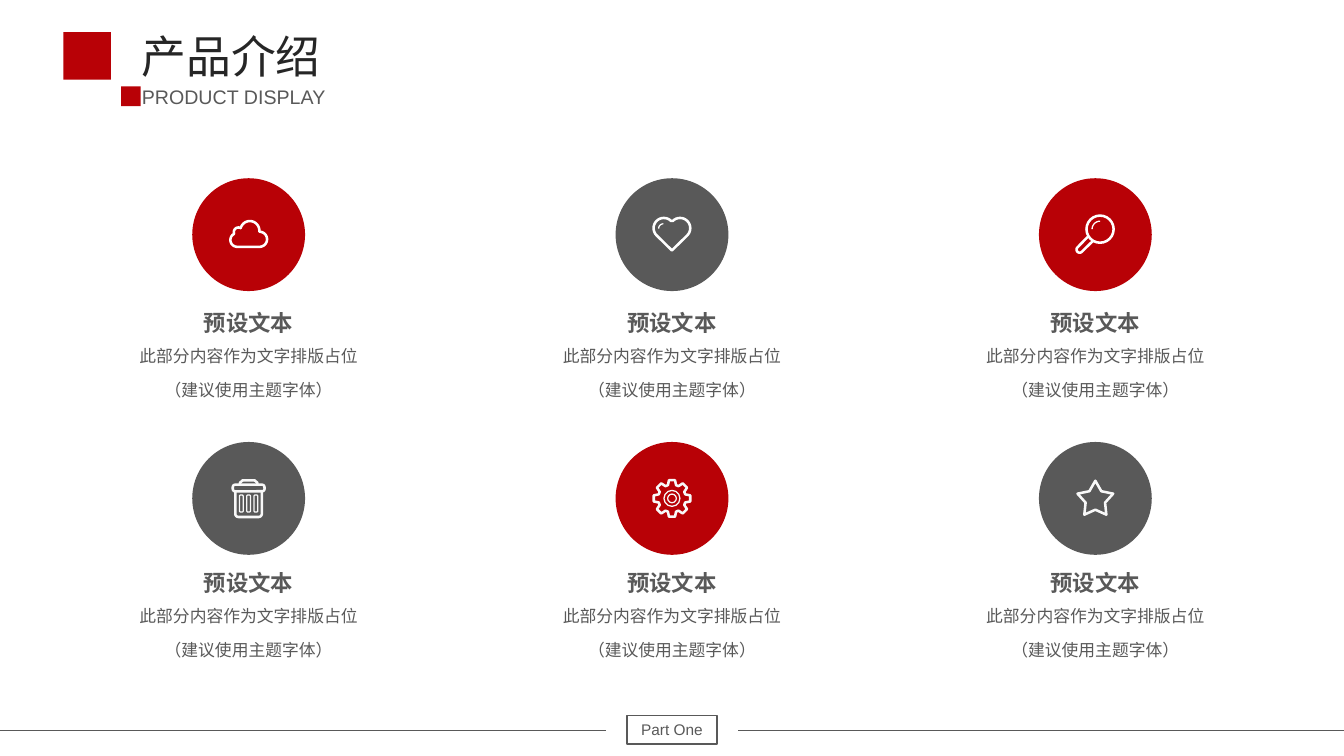
import math
from dataclasses import dataclass

import pptx
import pptx.dml.color
import pptx.enum.shapes
import pptx.enum.text
import pptx.oxml
import pptx.oxml.ns
import pptx.util

Pt = pptx.util.Pt
RGBColor = pptx.dml.color.RGBColor
PRESET = pptx.enum.shapes.MSO_SHAPE
ALIGN = pptx.enum.text.PP_ALIGN
ANCHOR = pptx.enum.text.MSO_ANCHOR

RED = RGBColor(0xB8, 0x01, 0x06)
GRAY = RGBColor(0x59, 0x59, 0x59)
INK = RGBColor(0x26, 0x26, 0x26)
WHITE = RGBColor(0xFF, 0xFF, 0xFF)
PALE = RGBColor(0xF8, 0xF8, 0xF8)
CJK_FONT = "Noto Sans CJK SC"
THICK, THIN = 1.8, 0.9
DISC = 80.6

Point = tuple[float, float]


@dataclass
class Outline:
    points: list[Point]
    closed: bool = True
    weight: float = THICK


@dataclass
class Preset:
    kind: int
    center: Point
    size: Point
    weight: float = THICK


@dataclass
class Card:
    icon: list
    heading: str = "预设文本"
    detail: str = "此部分内容作为文字排版占位\n（建议使用主题字体）"


def arc(x: float, y: float, radius: float, start: float, end: float) -> list[Point]:
    steps = 16
    angles = [math.radians(start + (end - start) * i / steps) for i in range(steps + 1)]
    return [(x + radius * math.cos(a), y + radius * math.sin(a)) for a in angles]


def polar(radius: float, degrees: float, y: float = 0) -> Point:
    angle = math.radians(degrees)
    return radius * math.cos(angle), y + radius * math.sin(angle)


def ring(x: float, y: float, radius: float, weight: float) -> Preset:
    return Preset(PRESET.OVAL, (x, y), (2 * radius, 2 * radius), weight)


CLOUD = [Outline(arc(-8.1, 3.8, 4.9, 90, 240) + arc(-7.3, -1.9, 3.2, 165, 300)
                 + arc(0.9, -2.9, 6.8, 195, 360) + arc(7.8, 3.3, 5.4, 270, 450))]
HEART = [Outline(arc(-5.8, -4.6, 7.3, 135, 315) + arc(5.8, -4.6, 7.3, 225, 405) + [(0, 11.3)]),
         Outline(arc(-6.1, -4.3, 3.4, 180, 270), False, THIN)]
MAGNIFIER = [ring(3.4, -3.9, 9.7, THICK),
             Outline(arc(3.4, -3.9, 5.7, 180, 270), False, THIN),
             Outline([(-5.2, 1.4)] + arc(-11.2, 10.7, 2.2, 225, 45) + [(-1.9, 4.7)], False)]
TRASH = [Preset(PRESET.ROUNDED_RECTANGLE, (0, -7.4), (22.7, 4.7)),
         Outline([(-6.2, -9.9), (-6.2, -11.2), (-4.2, -12.9),
                  (4.2, -12.9), (6.2, -11.2), (6.2, -9.9)], False),
         Outline([(-9.5, -4.7)] + arc(-7.1, 10.9, 2.4, 180, 90)
                 + arc(7.1, 10.9, 2.4, 90, 0) + [(9.5, -4.7)], False)]
TRASH += [Preset(PRESET.ROUNDED_RECTANGLE, (x, 3.7), (2.7, 12.2), THIN) for x in (-5.2, 0, 5.2)]
GEAR = [Outline([polar(radius, 45 * tooth + turn) for tooth in range(8)
                 for radius, turn in ((9.9, -17), (13.2, -9.5), (13.2, 9.5), (9.9, 17))]),
        ring(0, 0, 5.7, THIN), ring(0, 0, 3.1, THIN)]
STAR = [Outline([polar(7.3 if i % 2 else 13.4, 36 * i - 90, 0.8) for i in range(10)])]

CARDS = [[Card(CLOUD), Card(HEART), Card(MAGNIFIER)],
         [Card(TRASH), Card(GEAR), Card(STAR)]]


def add_preset(slide, kind, left: float, top: float, width: float, height: float, fill=None):
    shape = slide.shapes.add_shape(kind, Pt(left), Pt(top), Pt(width), Pt(height))
    shape.shadow.inherit = False
    if fill is None:
        shape.fill.background()
    else:
        shape.fill.solid()
        shape.fill.fore_color.rgb = fill
        shape.line.fill.background()
    return shape


def draw_icon(slide, parts: list, x: float, y: float, color: RGBColor) -> None:
    for part in parts:
        if isinstance(part, Preset):
            width, height = part.size
            shape = add_preset(slide, part.kind, x + part.center[0] - width / 2,
                               y + part.center[1] - height / 2, width, height)
            if part.kind == PRESET.ROUNDED_RECTANGLE:
                shape.adjustments[0] = 0.35
        else:
            path_points = [(Pt(x + px), Pt(y + py)) for px, py in part.points]
            builder = slide.shapes.build_freeform(*path_points[0])
            builder.add_line_segments(path_points[1:], close=part.closed)
            shape = builder.convert_to_shape()
            shape.shadow.inherit = False
            shape.fill.background()
        shape.line.color.rgb = color
        shape.line.width = Pt(part.weight)
        shape.line._get_or_add_ln().append(pptx.oxml.parse_xml(
            f'<a:round {pptx.oxml.ns.nsdecls("a")}/>'))


def write(shape, text: str, size: float, color: RGBColor, align=ALIGN.LEFT, bold: bool = False,
          font: str = "Arial", before: float = 0, wrap: bool = True, anchor=ANCHOR.TOP) -> None:
    frame = shape.text_frame
    frame.text = text
    frame.word_wrap = wrap
    frame.auto_size = pptx.enum.text.MSO_AUTO_SIZE.NONE
    frame.vertical_anchor = anchor
    for paragraph in frame.paragraphs:
        paragraph.alignment = align
        paragraph.space_before = Pt(before)
        for run in paragraph.runs:
            run.font.name = font
            run.font.size = Pt(size)
            run.font.bold = bold
            run.font.color.rgb = color
            run.font._element.append(pptx.oxml.parse_xml(
                f'<a:ea {pptx.oxml.ns.nsdecls("a")} typeface="{CJK_FONT}"/>'))


def add_text(slide, left: float, top: float, width: float, height: float, text: str,
             size: float, **style) -> None:
    box = slide.shapes.add_textbox(Pt(left), Pt(top), Pt(width), Pt(height))
    write(box, text, size, GRAY, **style)


def draw_card(slide, card: Card, row: int, column: int) -> None:
    x = 177.6 + 302.4 * column
    y = 167.6 + 188.4 * row
    text_top = 217.4 + 185.8 * row
    disc_color = GRAY if (row + column) % 2 else RED
    add_preset(slide, PRESET.OVAL, x - DISC / 2, y - DISC / 2, DISC, DISC, disc_color)
    draw_icon(slide, card.icon, x, y, PALE if row else WHITE)
    add_text(slide, x - 97.5, text_top + 26, 195, 51, card.detail, 12,
             align=ALIGN.CENTER, before=10)
    add_text(slide, x - 39.6, text_top, 79.2, 26.6, card.heading, 16,
             align=ALIGN.CENTER, bold=True, wrap=False)


def draw_footer(slide) -> None:
    part_label = add_preset(slide, PRESET.RECTANGLE, 447.8, 511, 64.4, 20.4)
    part_label.line.color.rgb = GRAY
    part_label.line.width = Pt(1)
    write(part_label, "Part One", 11, GRAY, align=ALIGN.CENTER, anchor=ANCHOR.MIDDLE)
    for start, end in ((0, 432.8), (527.2, 960)):
        rule = slide.shapes.add_connector(pptx.enum.shapes.MSO_CONNECTOR.STRAIGHT,
                                          Pt(start), Pt(521.5), Pt(end), Pt(521.5))
        rule.line.color.rgb = GRAY
        rule.line.width = Pt(0.5)
        rule._element.spPr.append(pptx.oxml.parse_xml(
            f'<a:effectLst {pptx.oxml.ns.nsdecls("a")}/>'))


def main() -> None:
    deck = pptx.Presentation()
    deck.slide_width, deck.slide_height = Pt(960), Pt(540)
    slide = deck.slides.add_slide(deck.slide_layouts[5])
    for row, cards in enumerate(CARDS):
        for column, card in enumerate(cards):
            draw_card(slide, card, row, column)
    title = slide.shapes.title
    title.left, title.top, title.width, title.height = Pt(93.9), Pt(16.6), Pt(196.6), Pt(46)
    write(title, "产品介绍", 32, INK, font=CJK_FONT)
    add_preset(slide, PRESET.RECTANGLE, 45.2, 23, 34, 34, RED)
    add_preset(slide, PRESET.RECTANGLE, 86.5, 61.8, 14, 14, RED)
    add_text(slide, 94.2, 57.2, 147, 24.2, "PRODUCT DISPLAY", 14, wrap=False)
    draw_footer(slide)
    deck.save("out.pptx")


if __name__ == "__main__":
    main()
